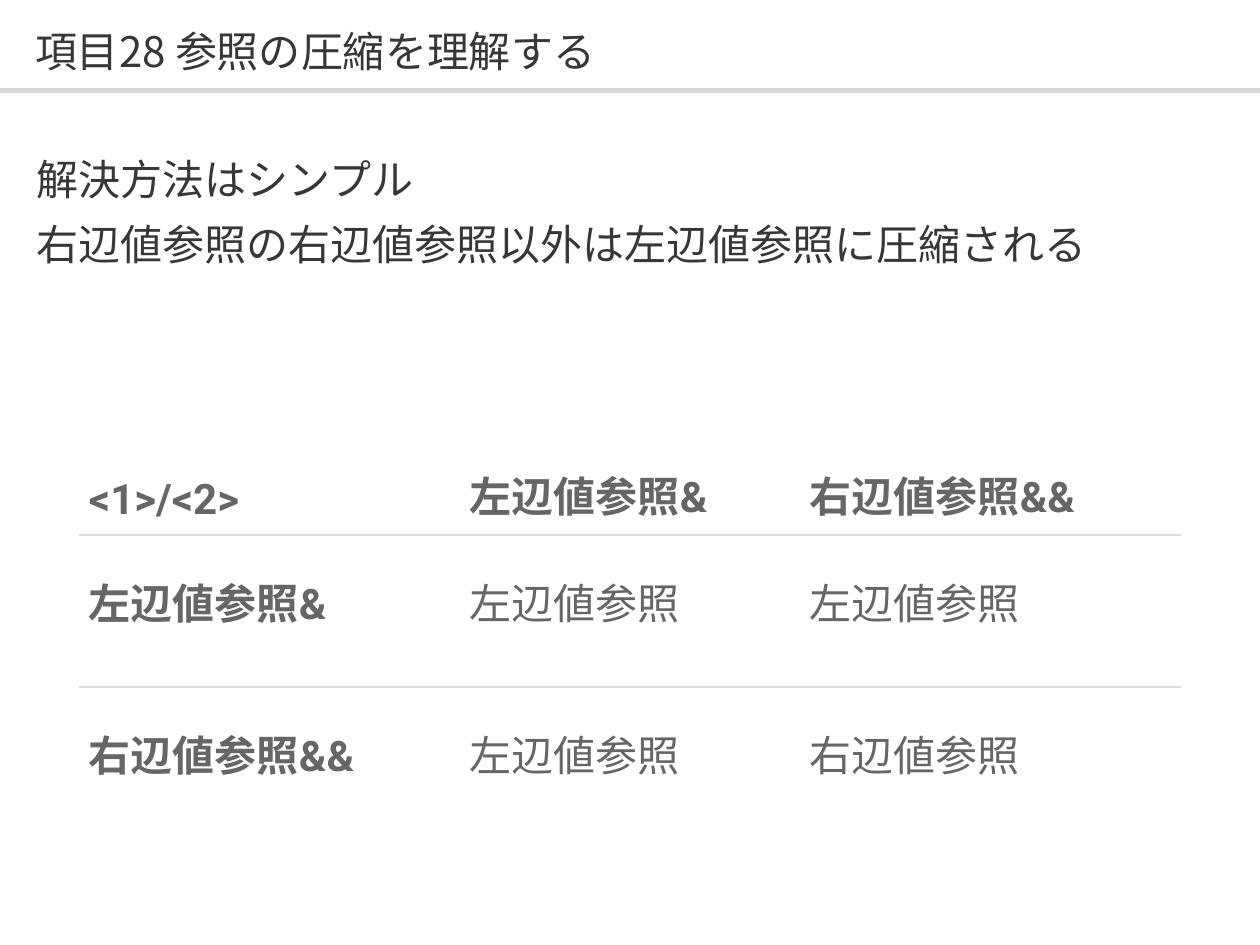
from lxml.etree import SubElement
from pptx import Presentation
from pptx.dml.color import RGBColor
from pptx.enum.shapes import MSO_SHAPE
from pptx.enum.text import MSO_ANCHOR, MSO_AUTO_SIZE, PP_ALIGN
from pptx.oxml.ns import qn
from pptx.util import Emu, Pt

JAPANESE, LATIN = "Noto Sans CJK JP", "Roboto"
INK, GREY, RULE, BAR, WHITE = "373737", "666666", "DDDDDD", "D8D8D8", "FFFFFF"

TITLE = "項目28 参照の圧縮を理解する"
BODY = ["解決方法はシンプル", "右辺値参照の右辺値参照以外は左辺値参照に圧縮される"]
TABLE = [
    ["<1>/<2>", "左辺値参照&", "右辺値参照&&"],
    ["左辺値参照&", "左辺値参照", "左辺値参照"],
    ["右辺値参照&&", "左辺値参照", "右辺値参照"],
]
COLUMN_WIDTHS = [381, 340, 381]
ROW_HEIGHT = 152
RULE_WIDTHS = [0, 1.5, 0.75, 0]  # above each row, then below the last


def px(value):
    return Emu(round(value * 914400 / 126))


def color(hex_string):
    return RGBColor.from_string(hex_string)


def place(shape, left, top, width, height):
    shape.left, shape.top = px(left), px(top)
    shape.width, shape.height = px(width), px(height)


def set_insets(holder, horizontal, vertical):
    holder.margin_left = holder.margin_right = px(horizontal)
    holder.margin_top = holder.margin_bottom = px(vertical)


def add_run(paragraph, text, font_name, hex_string, bold=False):
    run = paragraph.add_run()
    run.text = text
    font = run.font
    font.name, font.size, font.bold = font_name, Pt(24), bold
    font.color.rgb = color(hex_string)
    SubElement(run._r.get_or_add_rPr(), qn("a:ea"), typeface=JAPANESE)


def add_border(cell, side, width):
    line = SubElement(cell._tc.get_or_add_tcPr(), qn(f"a:ln{side}"), w=str(Pt(width)))
    if width:
        fill = SubElement(line, qn("a:solidFill"))
        SubElement(fill, qn("a:srgbClr"), val=RULE)
    else:
        SubElement(line, qn("a:noFill"))


def add_title(slide):
    bar = slide.shapes.add_shape(MSO_SHAPE.RECTANGLE, px(0), px(88), px(1260), px(5))
    bar.shadow.inherit = False
    bar.fill.solid()
    bar.fill.fore_color.rgb = color(BAR)
    bar.line.fill.background()

    title = slide.shapes.title
    place(title, 35, 21, 1191, 54)
    frame = title.text_frame
    set_insets(frame, 0, 0)
    frame.auto_size = MSO_AUTO_SIZE.NONE
    frame.vertical_anchor = MSO_ANCHOR.MIDDLE
    paragraph = frame.paragraphs[0]
    paragraph.alignment = PP_ALIGN.LEFT
    paragraph.line_spacing = 1.1
    add_run(paragraph, TITLE, JAPANESE, INK)


def add_body(slide):
    frame = slide.shapes.add_textbox(px(24), px(132), px(1202), px(130)).text_frame
    frame.word_wrap = True
    frame.auto_size = MSO_AUTO_SIZE.SHAPE_TO_FIT_TEXT
    for index, text in enumerate(BODY):
        paragraph = frame.add_paragraph() if index else frame.paragraphs[0]
        paragraph.alignment = PP_ALIGN.JUSTIFY
        paragraph.line_spacing = 1.3
        add_run(paragraph, text, JAPANESE, INK)


def add_reference_table(slide):
    table = slide.shapes.add_table(
        len(TABLE), len(COLUMN_WIDTHS), px(79), px(383),
        px(sum(COLUMN_WIDTHS)), px(ROW_HEIGHT * len(TABLE))).table
    table.first_row = table.horz_banding = False
    for column, width in zip(table.columns, COLUMN_WIDTHS):
        column.width = px(width)
    for row_index, texts in enumerate(TABLE):
        table.rows[row_index].height = px(ROW_HEIGHT)
        for column_index, text in enumerate(texts):
            cell = table.cell(row_index, column_index)
            set_insets(cell, 10, 10)
            cell.vertical_anchor = MSO_ANCHOR.TOP if row_index else MSO_ANCHOR.BOTTOM
            borders = [0, 0, *RULE_WIDTHS[row_index:row_index + 2]]
            for side, width in zip("LRTB", borders):
                add_border(cell, side, width)
            cell.fill.solid()
            cell.fill.fore_color.rgb = color(WHITE)
            paragraph = cell.text_frame.paragraphs[0]
            paragraph.line_spacing = 1.43
            paragraph.space_after = Pt(15)
            is_heading = row_index == 0 or column_index == 0
            add_run(paragraph, text, LATIN, GREY, is_heading)


def main():
    presentation = Presentation()
    presentation.slide_width, presentation.slide_height = px(1260), px(945)
    slide = presentation.slides.add_slide(presentation.slide_layouts[5])
    add_title(slide)
    add_reference_table(slide)
    add_body(slide)
    presentation.save("out.pptx")


if __name__ == "__main__":
    main()
